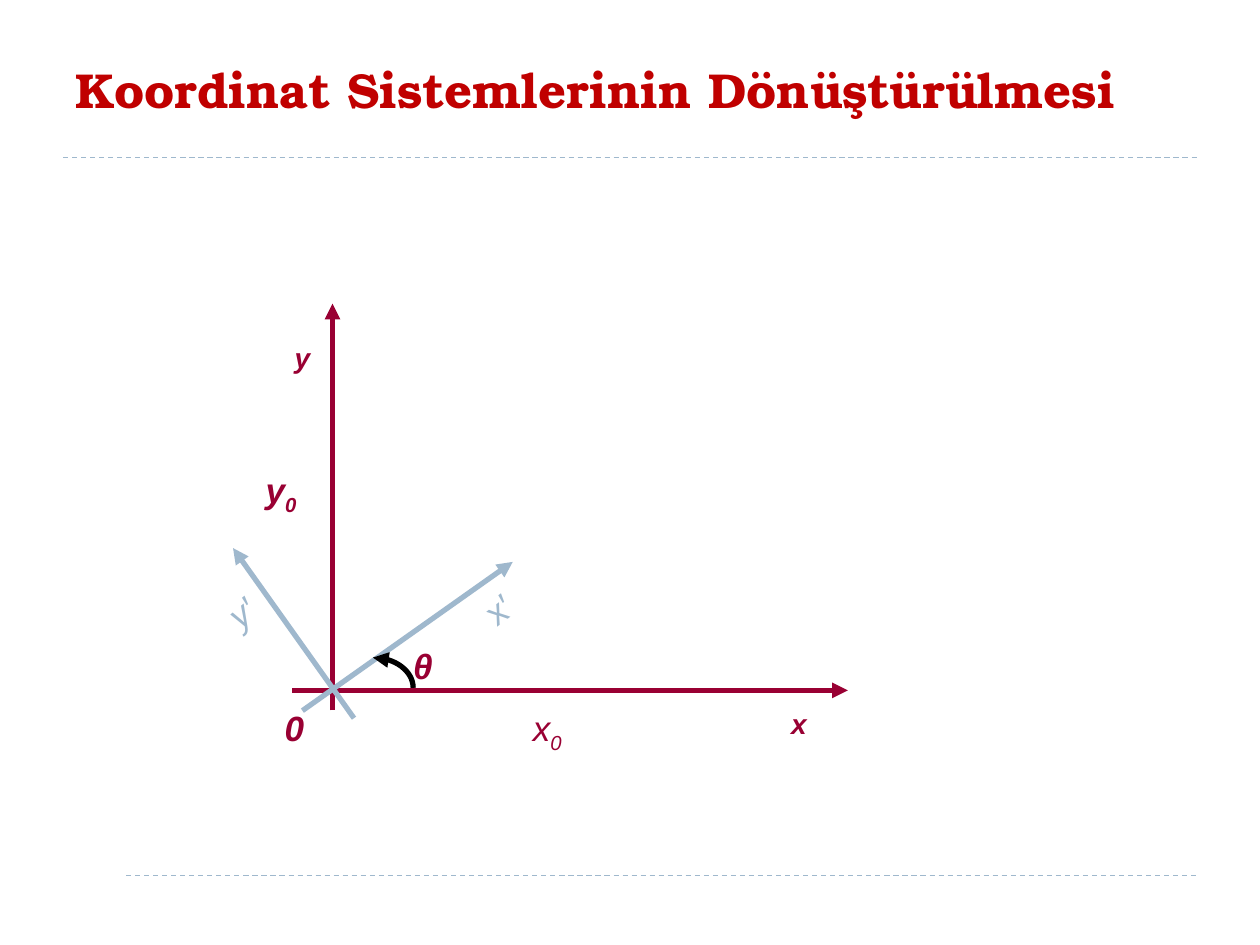
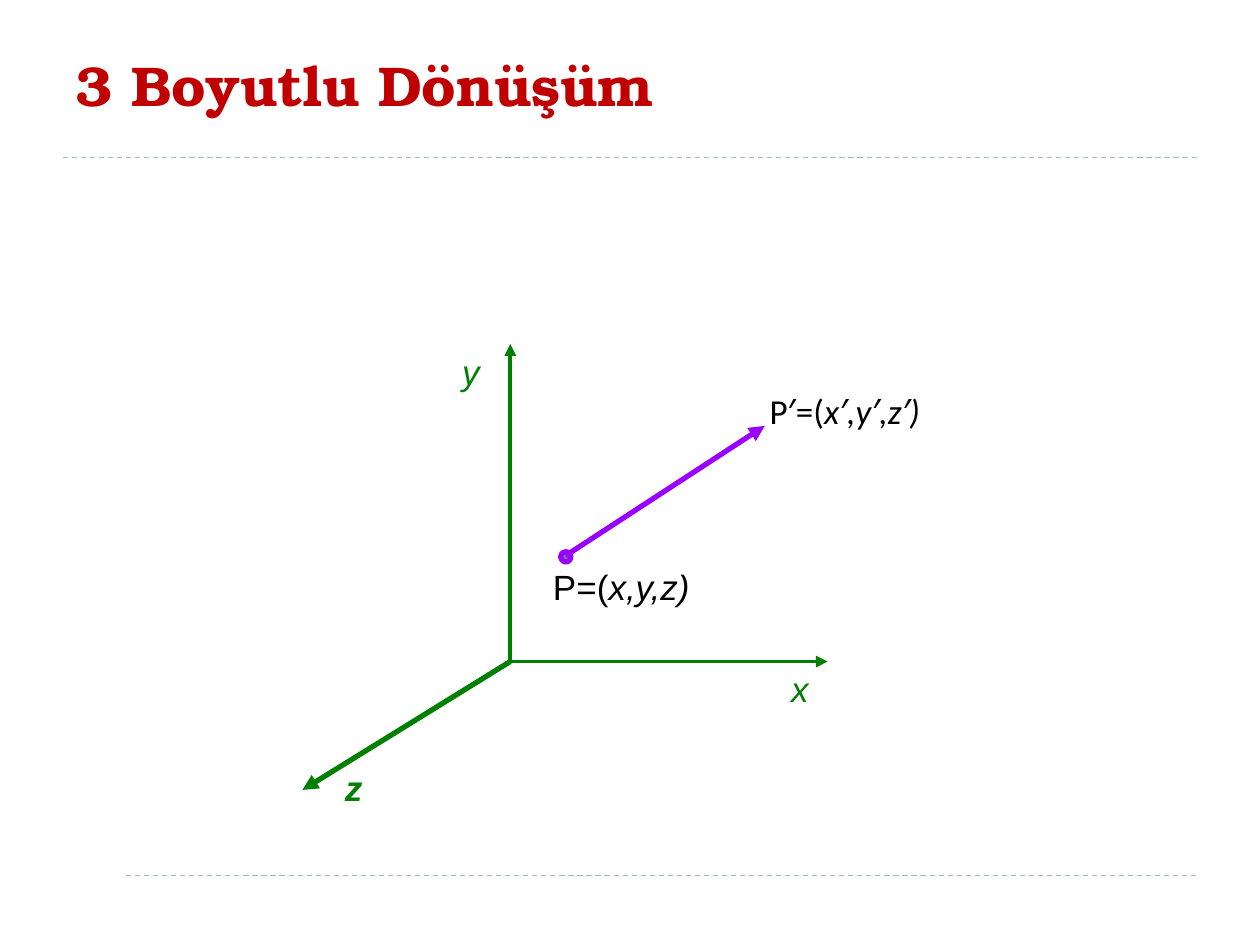
from dataclasses import dataclass
from math import cos, pi, sin

from pptx import Presentation
from pptx.dml.color import RGBColor
from pptx.enum.dml import MSO_LINE
from pptx.enum.shapes import MSO_CONNECTOR, MSO_SHAPE
from pptx.enum.text import MSO_ANCHOR, MSO_AUTO_SIZE, PP_ALIGN
from pptx.oxml.ns import qn
from pptx.oxml.xmlchemy import OxmlElement
from pptx.util import Pt

STRAIGHT = MSO_CONNECTOR.STRAIGHT
DOT = MSO_SHAPE.FLOWCHART_CONNECTOR
DASH = MSO_LINE.DASH
LEFT = PP_ALIGN.LEFT
MIDDLE = MSO_ANCHOR.MIDDLE
NO_AUTOFIT = MSO_AUTO_SIZE.NONE
TITLE_ONLY = 5


@dataclass(frozen=True)
class Theme:
    """Colours, fonts and sizes shared by the slides."""

    title: str = "C00000"
    rule: str = "9FB8CD"
    fixed_axes: str = "990033"
    rotated_axes: str = "9FB8CD"
    space_axes: str = "008000"
    vector: str = "9900FF"
    point: str = "727CA3"
    ink: str = "000000"
    title_font: str = "TeX Gyre Bonum"
    label_font: str = "Arial"
    formula_font: str = "Calibri"
    label_size: int = 20
    small_size: int = 16
    bold_line: float = 3
    axis_line: float = 2.25
    rule_line: float = 0.75


THEME = Theme()


def points(*lengths):
    """Convert numbers to point lengths."""
    return [Pt(length) for length in lengths]


def style_line(shape, color, width):
    """Give a shape or connector a plain line."""
    shape.line.color.rgb = RGBColor.from_string(color)
    shape.line.width = Pt(width)


def add_arrowhead(shape):
    """Put a triangle on the far end of a line."""
    arrowhead = OxmlElement("a:tailEnd")
    arrowhead.set("type", "triangle")
    shape.element.spPr.find(qn("a:ln")).append(arrowhead)


def add_line(slide, start, end, color, width):
    """Draw a straight line without a shadow."""
    line = slide.shapes.add_connector(STRAIGHT, *points(*start, *end))
    style_line(line, color, width)
    line.element.spPr.append(OxmlElement("a:effectLst"))
    return line


def add_arrow(slide, start, end, color, width=THEME.bold_line):
    """Draw a straight arrow from start to end."""
    add_arrowhead(add_line(slide, start, end, color, width))


def add_run(paragraph, text, color, size, font, bold=False, italic=False):
    """Append a formatted run."""
    run = paragraph.add_run()
    run.text = text
    run.font.name = font
    run.font.size = Pt(size)
    run.font.bold = bold
    run.font.italic = italic
    run.font.color.rgb = RGBColor.from_string(color)
    return run


def add_label(slide, left, top, width, color, upright="", slanted="", sub="",
              size=THEME.label_size, font=THEME.label_font,
              bold=False, rotation=0, wrap=True):
    """Add a label of upright, slanted and subscript parts."""
    label = slide.shapes.add_textbox(*points(left, top, width, size * 1.15 + 8))
    label.rotation = rotation
    label.text_frame.word_wrap = wrap
    paragraph = label.text_frame.paragraphs[0]
    if upright:
        add_run(paragraph, upright, color, size, font, bold)
    if slanted:
        add_run(paragraph, slanted, color, size, font, bold, True)
    if sub:
        subscript = add_run(paragraph, sub, color, size, font, bold, True)
        subscript.font._element.set("baseline", "-25000")


def add_angle(slide, center, radii, color, steps=16):
    """Draw a quarter turn from the horizontal axis, ending in an arrow."""
    turns = [pi / 2 * step / steps for step in range(steps + 1)]
    start, *rest = [
        points(center[0] + radii[0] * cos(turn), center[1] - radii[1] * sin(turn))
        for turn in turns
    ]
    builder = slide.shapes.build_freeform(*start)
    builder.add_line_segments(rest, close=False)
    angle = builder.convert_to_shape()
    angle.shadow.inherit = False
    angle.fill.background()
    style_line(angle, color, THEME.bold_line)
    add_arrowhead(angle)


def add_point(slide, center, diameter):
    """Draw a small ringed point."""
    left, top = (value - diameter / 2 for value in center)
    point = slide.shapes.add_shape(DOT, *points(left, top, diameter, diameter))
    point.shadow.inherit = False
    point.fill.solid()
    point.fill.fore_color.rgb = RGBColor.from_string(THEME.point)
    style_line(point, THEME.vector, THEME.bold_line)


def add_titled_slide(deck, heading, top, size):
    """Add a slide with its title and the two dashed rules."""
    slide = deck.slides.add_slide(deck.slide_layouts[TITLE_ONLY])
    for left, height in ((72, 500.4), (36, 90)):
        rule = add_line(slide, (left, height), (684, height),
                        THEME.rule, THEME.rule_line)
        rule.line.dash_style = DASH
    title = slide.shapes.title
    title.left, title.top, title.width, title.height = points(36, top, 648, 77.8)
    frame = title.text_frame
    frame.auto_size = NO_AUTOFIT
    frame.vertical_anchor = MIDDLE
    frame.paragraphs[0].alignment = LEFT
    add_run(frame.paragraphs[0], heading, THEME.title, size,
            THEME.title_font, bold=True)
    return slide


def build_rotation_slide(deck):
    """Show axes rotated by an angle against fixed axes."""
    slide = add_titled_slide(deck, "Koordinat Sistemlerinin Dönüştürülmesi", 12.2, 28)
    fixed, rotated = THEME.fixed_axes, THEME.rotated_axes
    add_arrow(slide, (190, 406), (190, 173.5), fixed)
    add_arrow(slide, (167, 394.5), (484.5, 394.5), fixed)
    add_label(slide, 161.3, 190.8, 39.6, fixed, slanted="y",
              size=THEME.small_size, bold=True)
    add_label(slide, 445, 400.3, 45.4, fixed, slanted="x",
              size=THEME.small_size, bold=True)
    add_label(slide, 265, 315.4, 84.2, rotated, upright="x′", rotation=323)
    add_label(slide, 297.4, 400.3, 56.9, fixed, slanted="x", sub="0")
    add_label(slide, 144.7, 264.2, 45.4, fixed, slanted="y", sub="0", bold=True)
    add_label(slide, 155.5, 400.3, 39.6, fixed, slanted="0", bold=True)
    add_arrow(slide, (202.3, 410.4), (133.2, 313.2), rotated)
    add_arrow(slide, (172.8, 406.1), (293, 321.1), rotated)
    add_label(slide, 122.4, 330.5, 39.6, rotated, slanted="y′", rotation=320.5)
    add_angle(slide, (213.1, 393.1), (23, 17.3), THEME.ink)
    add_label(slide, 229, 365, 23, fixed, slanted="θ", bold=True)


def build_space_slide(deck):
    """Show a point moved in three-dimensional space."""
    slide = add_titled_slide(deck, "3 Boyutlu Dönüşüm", 9.4, 32)
    axes = THEME.space_axes
    origin = (291.6, 378)
    add_arrow(slide, origin, (291.6, 196.6), axes, THEME.axis_line)
    add_arrow(slide, origin, (473, 378), axes, THEME.axis_line)
    add_arrow(slide, origin, (172.8, 451.4), axes)
    add_point(slide, (323.3, 318.2), 5.8)
    add_arrow(slide, (323.3, 317.5), (437, 243.4), THEME.vector)
    add_label(slide, 308.9, 319.7, 152.6, THEME.ink, "P=(", "x,y,z)")
    add_label(slide, 432.7, 218.9, 108.7, THEME.ink, "P′=(", "x′,y′,z′)",
              font=THEME.formula_font, wrap=False)
    add_label(slide, 445, 378, 33.8, axes, slanted="x")
    add_label(slide, 257, 196.6, 39.6, axes, slanted="y")
    add_label(slide, 190, 434.2, 39.6, axes, slanted="z", bold=True)


def main():
    """Build and save the presentation."""
    deck = Presentation()
    deck.slide_width, deck.slide_height = points(720, 540)
    build_rotation_slide(deck)
    build_space_slide(deck)
    deck.save("out.pptx")


if __name__ == "__main__":
    main()
